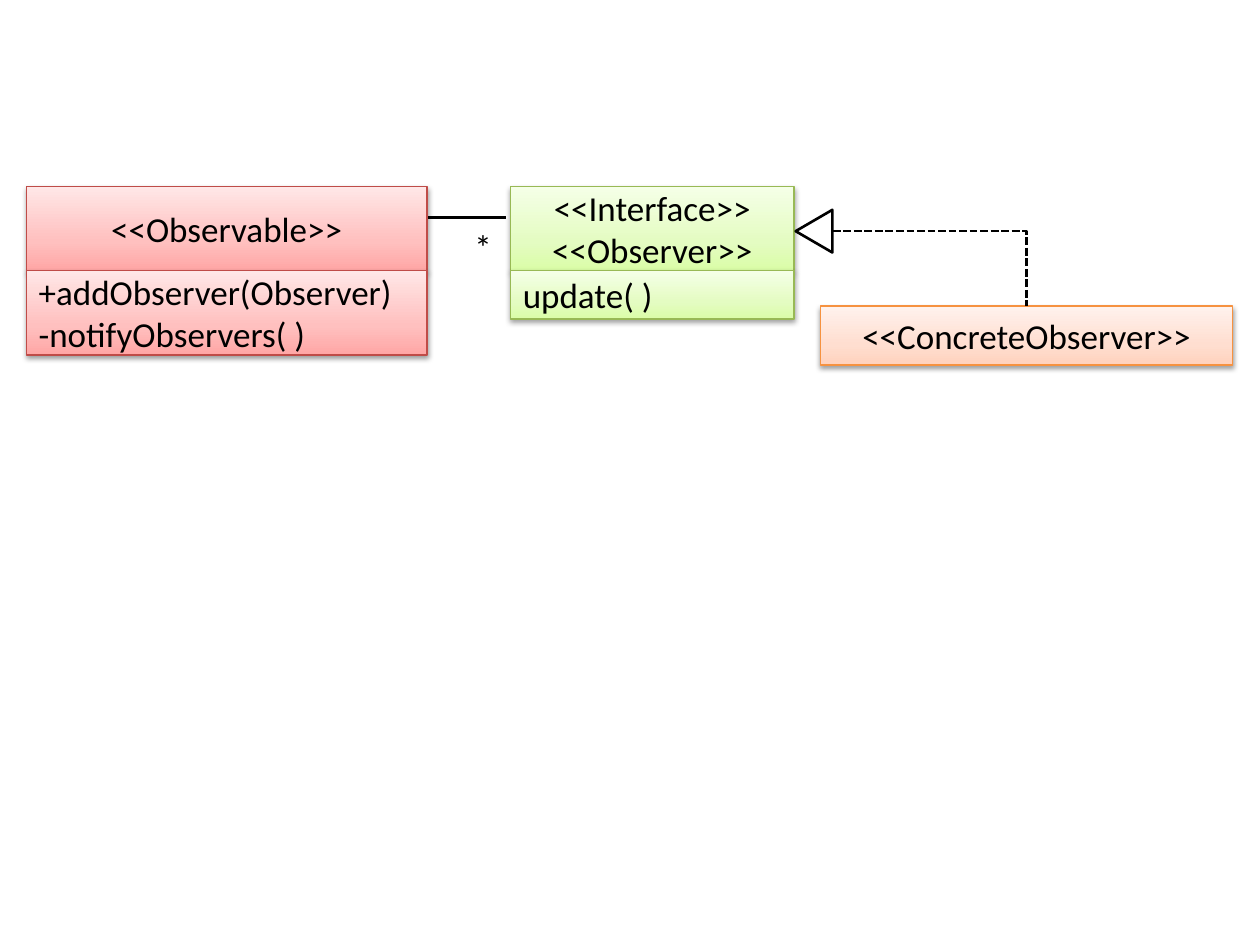
from dataclasses import dataclass

import lxml.etree
import pptx
import pptx.dml.color
import pptx.enum.dml
import pptx.enum.shapes
import pptx.enum.text
import pptx.oxml.ns
import pptx.util

Cm, Pt = pptx.util.Cm, pptx.util.Pt
RGB = pptx.dml.color.RGBColor
ALIGN = pptx.enum.text.PP_ALIGN
ANCHOR = pptx.enum.text.MSO_ANCHOR
SHAPE = pptx.enum.shapes.MSO_SHAPE
CONNECTOR = pptx.enum.shapes.MSO_CONNECTOR
qn = pptx.oxml.ns.qn


@dataclass(frozen=True)
class Palette:
    line: str
    stops: tuple  # colours from bottom to top


@dataclass(frozen=True)
class Theme:
    font: str = "Calibri"
    size: float = 20
    ink: str = "000000"
    border: float = 0.75
    stroke: float = 1.5
    stop_positions: tuple = (0, 35, 100)
    red: Palette = Palette("BF4C48", ("FFA6A5", "FFC0BF", "FFE7E7"))
    green: Palette = Palette("98B955", ("DAFDA7", "E4FCC2", "F5FFE7"))
    orange: Palette = Palette("F69240", ("FFD2BD", "FFDED0", "FFF2ED"))


@dataclass(frozen=True)
class Compartment:
    lines: tuple
    height: float
    align: ALIGN = ALIGN.CENTER


@dataclass(frozen=True)
class UmlClass:
    left: float
    top: float
    width: float
    palette: Palette
    compartments: tuple


THEME = Theme()
ROW_TOP, NAME_HEIGHT = 3.76, 1.7
ARROW_Y = 4.66

OBSERVABLE = UmlClass(0.53, ROW_TOP, 8.08, THEME.red, (
    Compartment(("<<Observable>>",), NAME_HEIGHT),
    Compartment(("+addObserver(Observer)", "-notifyObservers( )"), 1.7, ALIGN.LEFT),
))
OBSERVER = UmlClass(10.29, ROW_TOP, 5.72, THEME.green, (
    Compartment(("<<Interface>>", "<<Observer>>"), NAME_HEIGHT),
    Compartment(("update( )",), 0.97, ALIGN.LEFT),
))
CONCRETE = UmlClass(16.54, 6.17, 8.31, THEME.orange, (
    Compartment(("<<ConcreteObserver>>",), 1.19),
))


def write_text(sp, lines, *, align=ALIGN.CENTER, anchor=ANCHOR.MIDDLE) -> None:
    tf = sp.text_frame
    tf.word_wrap = True
    tf.vertical_anchor = anchor
    for i, text in enumerate(lines):
        p = tf.paragraphs[0] if i == 0 else tf.add_paragraph()
        p.alignment = align
        r = p.add_run()
        r.text = text
        r.font.name = THEME.font
        r.font.size = Pt(THEME.size)
        r.font.color.rgb = RGB.from_string(THEME.ink)


def add_color(parent, color: str):
    return lxml.etree.SubElement(parent, qn("a:srgbClr"), val=color)


def style_line(line, color: str, width: float) -> None:
    line.color.rgb = RGB.from_string(color)
    line.width = Pt(width)


def fill_gradient(sp, palette: Palette) -> None:
    sp.fill.gradient()
    sp.fill.gradient_angle = 90
    stops = sp._element.spPr.find(".//" + qn("a:gsLst"))
    for stop in list(stops):
        stops.remove(stop)
    for pos, color in zip(THEME.stop_positions, palette.stops):
        add_color(lxml.etree.SubElement(stops, qn("a:gs"), pos=str(pos * 1000)), color)


def add_shadow(sp) -> None:
    sp.shadow.inherit = False
    effects = sp._element.spPr.find(qn("a:effectLst"))
    shadow = lxml.etree.SubElement(
        effects, qn("a:outerShdw"), blurRad=str(Pt(3.1)), dist=str(Pt(1.6)),
        dir="5400000", rotWithShape="0")
    color = add_color(shadow, THEME.ink)
    lxml.etree.SubElement(color, qn("a:alpha"), val="38000")


def draw_class(s, uml: UmlClass) -> list:
    """Stack the compartments of a class and return their rectangles."""
    boxes, top = [], uml.top
    for part in uml.compartments:
        sp = s.shapes.add_shape(SHAPE.RECTANGLE, Cm(uml.left), Cm(top),
                                Cm(uml.width), Cm(part.height))
        fill_gradient(sp, uml.palette)
        style_line(sp.line, uml.palette.line, THEME.border)
        add_shadow(sp)
        write_text(sp, part.lines, align=part.align)
        boxes.append(sp)
        top += part.height
    return boxes


def draw_connector(s, kind, x1: float, y1: float, x2: float, y2: float):
    cxn = s.shapes.add_connector(kind, Cm(x1), Cm(y1), Cm(x2), Cm(y2))
    style_line(cxn.line, THEME.ink, THEME.stroke)
    lxml.etree.SubElement(cxn._element.spPr, qn("a:effectLst"))
    return cxn


def main() -> None:
    prs = pptx.Presentation()
    prs.slide_width, prs.slide_height = Cm(25.4), Cm(19.05)
    s = prs.slides.add_slide(prs.slide_layouts[6])

    # Association line, partly behind the Observable class
    draw_connector(s, CONNECTOR.STRAIGHT, 7.24, 4.39, 10.21, 4.39)

    # Classes
    draw_class(s, OBSERVER)
    concrete = draw_class(s, CONCRETE)[0]
    draw_class(s, OBSERVABLE)

    # Multiplicity
    label = s.shapes.add_textbox(Cm(9.22), Cm(4.42), Cm(1.04), Cm(1.12))
    write_text(label, ("*",), anchor=ANCHOR.TOP)
    label.text_frame.auto_size = pptx.enum.text.MSO_AUTO_SIZE.SHAPE_TO_FIT_TEXT

    # Realization: dashed elbow with a single bend
    elbow = draw_connector(s, CONNECTOR.ELBOW, 16.79, ARROW_Y,
                           CONCRETE.left + CONCRETE.width / 2, CONCRETE.top)
    elbow._element.spPr.find(qn("a:prstGeom")).set("prst", "bentConnector2")
    elbow.line.dash_style = pptx.enum.dml.MSO_LINE.SQUARE_DOT
    elbow.end_connect(concrete, 0)

    # Hollow arrowhead pointing at the Observer interface
    width, height = 0.86, 0.74
    head = s.shapes.add_shape(SHAPE.ISOSCELES_TRIANGLE, Cm(16.41 - width / 2),
                              Cm(ARROW_Y - height / 2), Cm(width), Cm(height))
    head.rotation = 270
    head.fill.background()
    style_line(head.line, THEME.ink, THEME.stroke)
    head.shadow.inherit = False

    prs.save("out.pptx")


if __name__ == "__main__":
    main()
